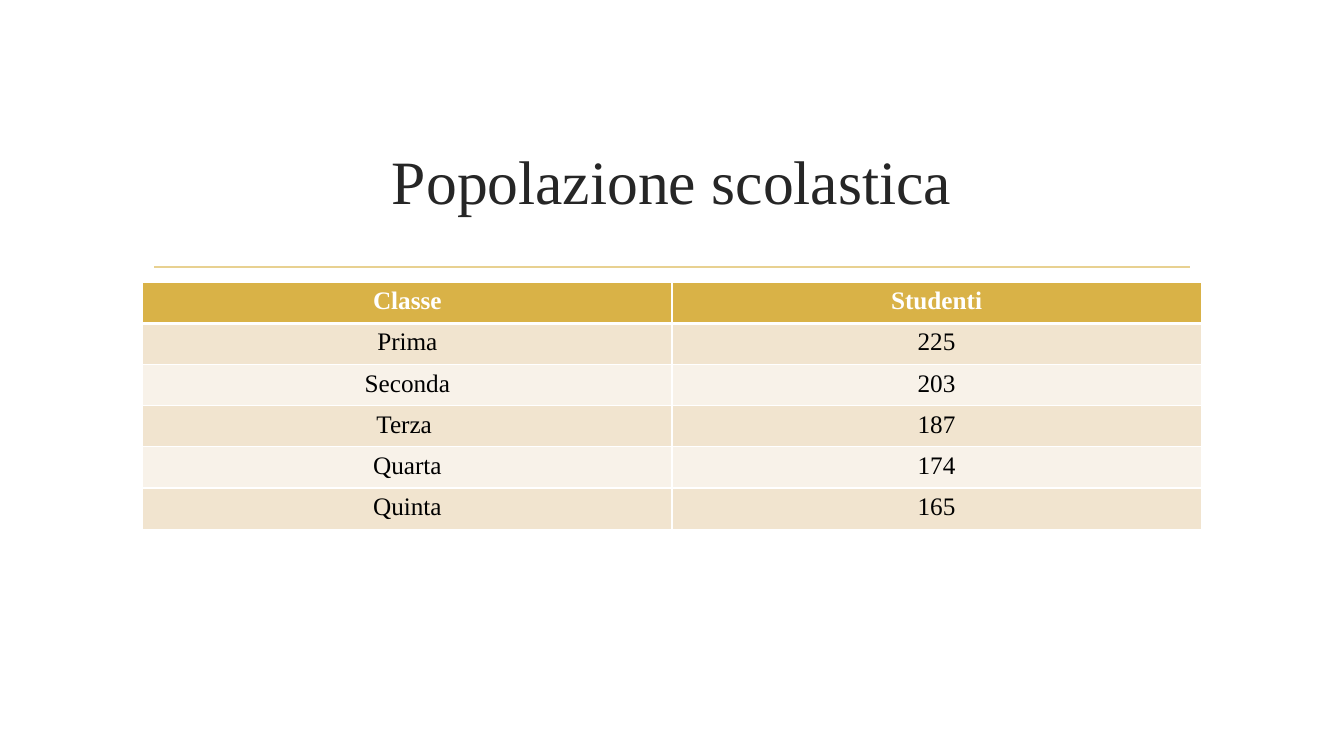
import pptx
import pptx.dml.color
import pptx.enum.shapes
import pptx.enum.text
import pptx.oxml
import pptx.oxml.ns
import pptx.util

COLORS = {
    "title": "262626",
    "rule": "E8D191",
    "header": "D9B247",
    "odd": "F1E4CF",
    "even": "F8F2E9",
    "white": "FFFFFF",
    "black": "000000",
}
FONT = "Times New Roman"
GRID_COLUMNS, GRID_ROWS = 32, 18
LEFT, WIDTH = 3.4, 25.2
ROW_HEIGHT = 0.98

STUDENTS = [
    ("Classe", "Studenti"),
    ("Prima", "225"),
    ("Seconda", "203"),
    ("Terza ", "187"),
    ("Quarta", "174"),
    ("Quinta", "165"),
]


def color(name):
    return pptx.dml.color.RGBColor.from_string(COLORS[name])


class SlideBuilder:
    """Places styled elements on a slide, measured in grid columns and rows."""

    def __init__(self, presentation):
        self.column = presentation.slide_width / GRID_COLUMNS
        self.row = presentation.slide_height / GRID_ROWS
        self.slide = presentation.slides.add_slide(presentation.slide_layouts[5])

    def box(self, left, top, width, height):
        """Turn grid units into EMU lengths."""
        return (round(left * self.column), round(top * self.row),
                round(width * self.column), round(height * self.row))

    def text(self, frame, words, size, color_name, bold=False):
        paragraph = frame.paragraphs[0]
        paragraph.alignment = pptx.enum.text.PP_ALIGN.CENTER
        run = paragraph.add_run()
        run.text = words
        font_format = {"name": FONT, "size": pptx.util.Pt(size), "bold": bold}
        for attribute, value in font_format.items():
            setattr(run.font, attribute, value)
        run.font.color.rgb = color(color_name)

    def title(self, words, *place):
        shape = self.slide.shapes.title
        for attribute, value in zip(("left", "top", "width", "height"), self.box(*place)):
            setattr(shape, attribute, value)
        shape.text_frame.vertical_anchor = pptx.enum.text.MSO_ANCHOR.MIDDLE
        self.text(shape.text_frame, words, 44, "title")

    def rule(self, start, end, top):
        """Draw a horizontal line."""
        begin_x, y, end_x, _ = self.box(start, top, end, 0)
        line = self.slide.shapes.add_connector(
            pptx.enum.shapes.MSO_CONNECTOR.STRAIGHT, begin_x, y, end_x, y)
        line.line.color.rgb = color("rule")
        line.line.width = pptx.util.Pt(1.25)
        properties = line._element.spPr
        properties.append(properties.makeelement(pptx.oxml.ns.qn("a:effectLst"), {}))

    def borders(self, cell, widths):
        """Give the cell white borders; widths maps side letters to points."""
        properties = cell._tc.get_or_add_tcPr()
        for side, width in widths.items():
            properties.append(pptx.oxml.parse_xml(
                f'<a:ln{side} {pptx.oxml.ns.nsdecls("a")} w="{pptx.util.Pt(width)}">'
                f'<a:solidFill><a:srgbClr val="{COLORS["white"]}"/></a:solidFill>'
                f'</a:ln{side}>'))

    def table(self, rows, left, top, width):
        place = self.box(left, top, width, ROW_HEIGHT * len(rows))
        table = self.slide.shapes.add_table(len(rows), len(rows[0]), *place).table
        for row_index, words in enumerate(rows):
            header = row_index == 0
            fill = "header" if header else ("even", "odd")[row_index % 2]
            widths = {"L": 1, "R": 1, "T": 3 if row_index == 1 else 1, "B": 3 if header else 1}
            for column_index, word in enumerate(words):
                cell = table.cell(row_index, column_index)
                self.borders(cell, widths)
                cell.fill.solid()
                cell.fill.fore_color.rgb = color(fill)
                self.text(cell.text_frame, word, 18, "white" if header else "black", header)


def main():
    presentation = pptx.Presentation()
    presentation.slide_width = pptx.util.Inches(13.33)
    presentation.slide_height = pptx.util.Inches(7.5)
    builder = SlideBuilder(presentation)
    builder.rule(3.67, 28.34, 6.36)
    builder.title("Popolazione scolastica", LEFT, 2.57, WIDTH, 3.43)
    builder.table(STUDENTS, LEFT, 6.72, WIDTH)
    presentation.save("out.pptx")


if __name__ == "__main__":
    main()
